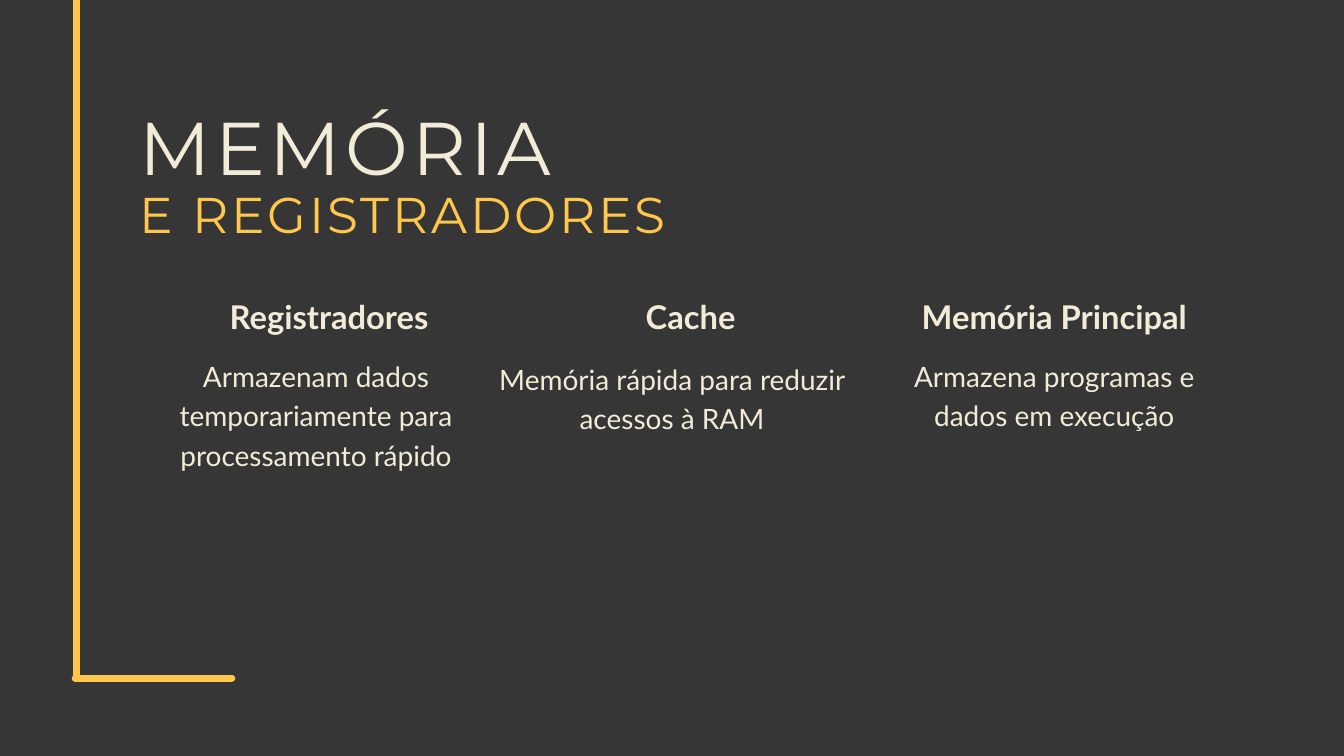
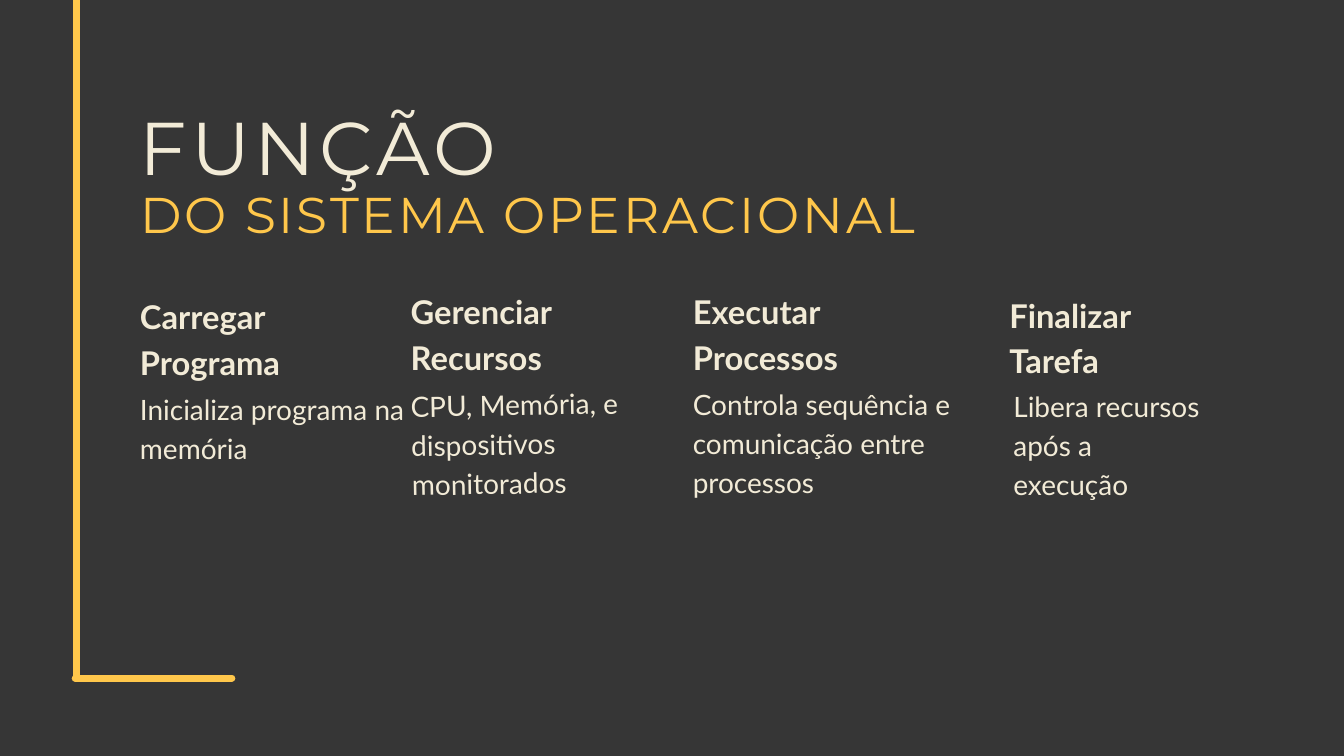
"""Builds two dark slides on memory and on the role of the operating system."""
import pptx
import pptx.dml.color
import pptx.enum.shapes
import pptx.enum.text
import pptx.oxml.ns
import pptx.util
from lxml import etree

Pt = pptx.util.Pt
ALIGN = pptx.enum.text.PP_ALIGN

COLORS = {"background": "363636", "cream": "F2EBD7", "gold": "FFC74B"}
STYLES = {
    "title": dict(font="Montserrat", size=80, color="cream", leading=88, spacing=460),
    "subtitle": dict(font="Montserrat", size=53.8, color="gold", leading=64.6, spacing=310),
    "heading": dict(font="Lato", size=35, color="cream", leading=49, bold=True),
    "body": dict(font="Lato", size=30, color="cream", leading=42),
}
LEFT = 150
CORNER_LINES = [(82, -221, 82, 726.5), (80.6, 726.5, 248.4, 726.5)]
BODY_LINE = 41.6

SLIDES = [
    dict(
        title="MEMÓRIA", subtitle="E REGISTRADORES", subtitle_width=570,
        align=ALIGN.CENTER, heading_height=46.8,
        columns=[
            dict(heading="Registradores", heading_at=(LEFT, 311, 405.4),
                 body="Armazenam dados temporariamente para processamento rápido",
                 body_at=(LEFT, 379.4, 377.3), lines=5),
            dict(heading="Cache", heading_at=(591, 311, 298),
                 body="Memória rápida para reduzir acessos à RAM",
                 body_at=(531.4, 382.3, 377.3), lines=4),
            dict(heading="Memória Principal", heading_at=(927.4, 311, 404.6),
                 body="Armazena programas e dados em execução",
                 body_at=(941, 379.4, 377.3), lines=3),
        ],
    ),
    dict(
        title="FUNÇÃO", subtitle="DO SISTEMA OPERACIONAL", subtitle_width=877.7,
        align=ALIGN.LEFT, heading_height=95.8,
        columns=[
            dict(heading="Carregar Programa", heading_at=(LEFT, 311, 247),
                 body="Inicializa programa na memória",
                 body_at=(LEFT, 414, 285.1), lines=2),
            dict(heading="Gerenciar Recursos", heading_at=(440, 306, 298),
                 body="CPU, Memória, e dispositivos monitorados",
                 body_at=(440.6, 409, 272.2), lines=3, rotation=359),
            dict(heading="Executar Processos", heading_at=(742.3, 306, 179.3),
                 body="Controla sequência e comunicação entre processos",
                 body_at=(742.3, 409, 283.7), lines=4),
            dict(heading="Finalizar Tarefa", heading_at=(1081.4, 309.6, 179.3),
                 body="Libera recursos após a execução",
                 body_at=(1085.8, 411.1, 211), lines=3),
        ],
    ),
]


def rgb(name):
    return pptx.dml.color.RGBColor.from_string(COLORS[name])


def add_text(slide, text, style_name, at, height, align=ALIGN.LEFT, rotation=0):
    style = STYLES[style_name]
    left, top, width = at
    sp = slide.shapes.add_textbox(Pt(left), Pt(top), Pt(width), Pt(height))
    sp.rotation = rotation
    tf = sp.text_frame
    tf.word_wrap = True
    tf.auto_size = pptx.enum.text.MSO_AUTO_SIZE.SHAPE_TO_FIT_TEXT
    tf.margin_left = tf.margin_top = tf.margin_right = tf.margin_bottom = 0
    tf.text = text
    p = tf.paragraphs[0]
    p.alignment = align
    p.line_spacing = Pt(style["leading"])
    r = p.runs[0]
    r.font.name = style["font"]
    r.font.size = Pt(style["size"])
    r.font.bold = style.get("bold", False)
    r.font.color.rgb = rgb(style["color"])
    if "spacing" in style:
        r.font._element.set("spc", str(style["spacing"]))


def add_corner(slide):
    for ends in CORNER_LINES:
        line = slide.shapes.add_connector(
            pptx.enum.shapes.MSO_CONNECTOR.STRAIGHT, *map(Pt, ends))
        line.line.color.rgb = rgb("gold")
        line.line.width = Pt(7.5)
        line.line._get_or_add_ln().set("cap", "rnd")
        etree.SubElement(line._element.spPr, pptx.oxml.ns.qn("a:effectLst"))


def add_slide(prs, content):
    slide = prs.slides.add_slide(prs.slide_layouts[6])
    slide.background.fill.solid()
    slide.background.fill.fore_color.rgb = rgb("background")
    add_text(slide, content["title"], "title", (LEFT, 116.6, 570), 90.7)
    add_corner(slide)
    add_text(slide, content["subtitle"], "subtitle",
             (LEFT, 196.6, content["subtitle_width"]), 64.8)
    for column in content["columns"]:
        add_text(slide, column["heading"], "heading", column["heading_at"],
                 content["heading_height"], content["align"])
        add_text(slide, column["body"], "body", column["body_at"],
                 column["lines"] * BODY_LINE, content["align"], column.get("rotation", 0))


def main():
    prs = pptx.Presentation()
    prs.slide_width, prs.slide_height = Pt(1440), Pt(810)
    for content in SLIDES:
        add_slide(prs, content)
    prs.save("out.pptx")


if __name__ == "__main__":
    main()
